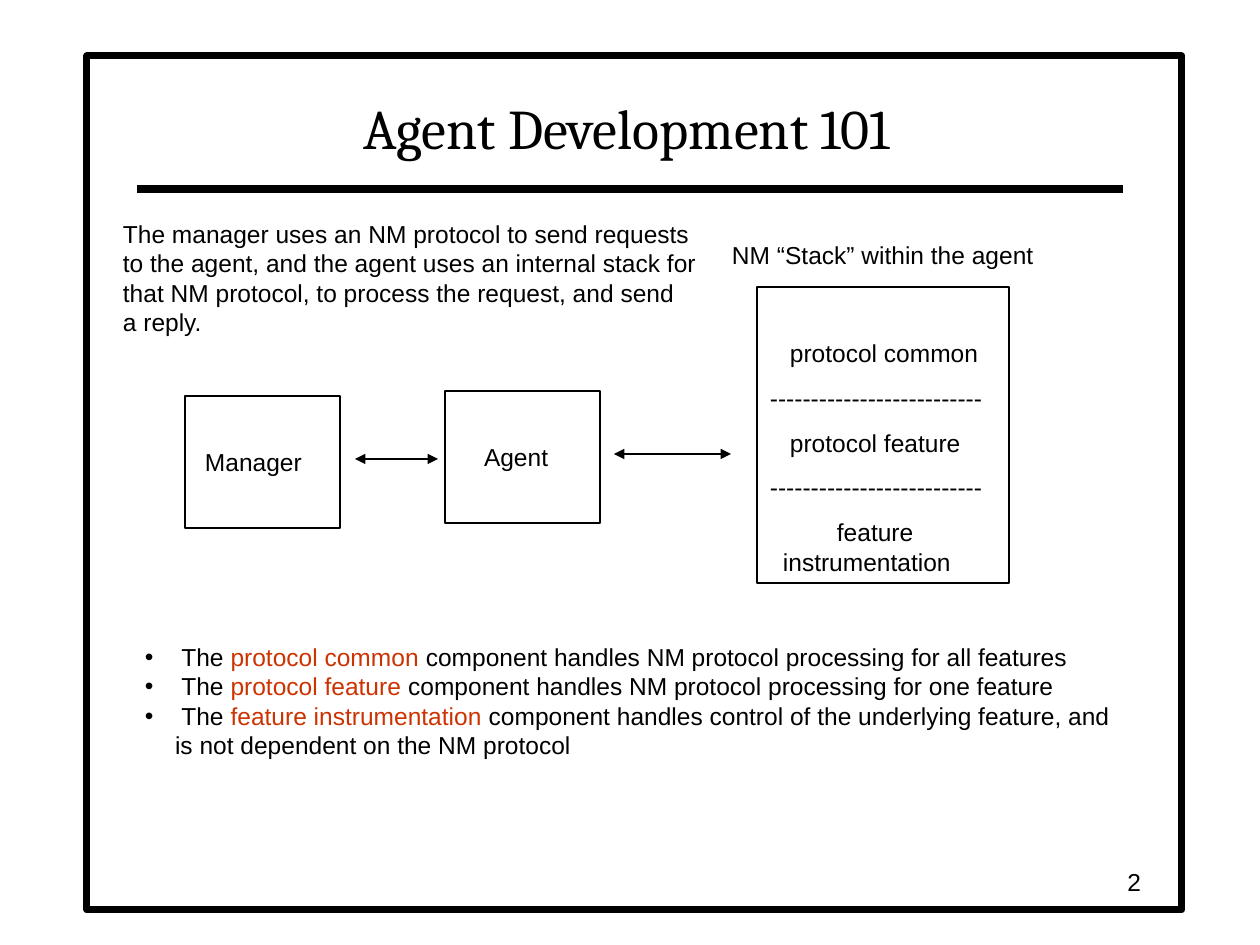
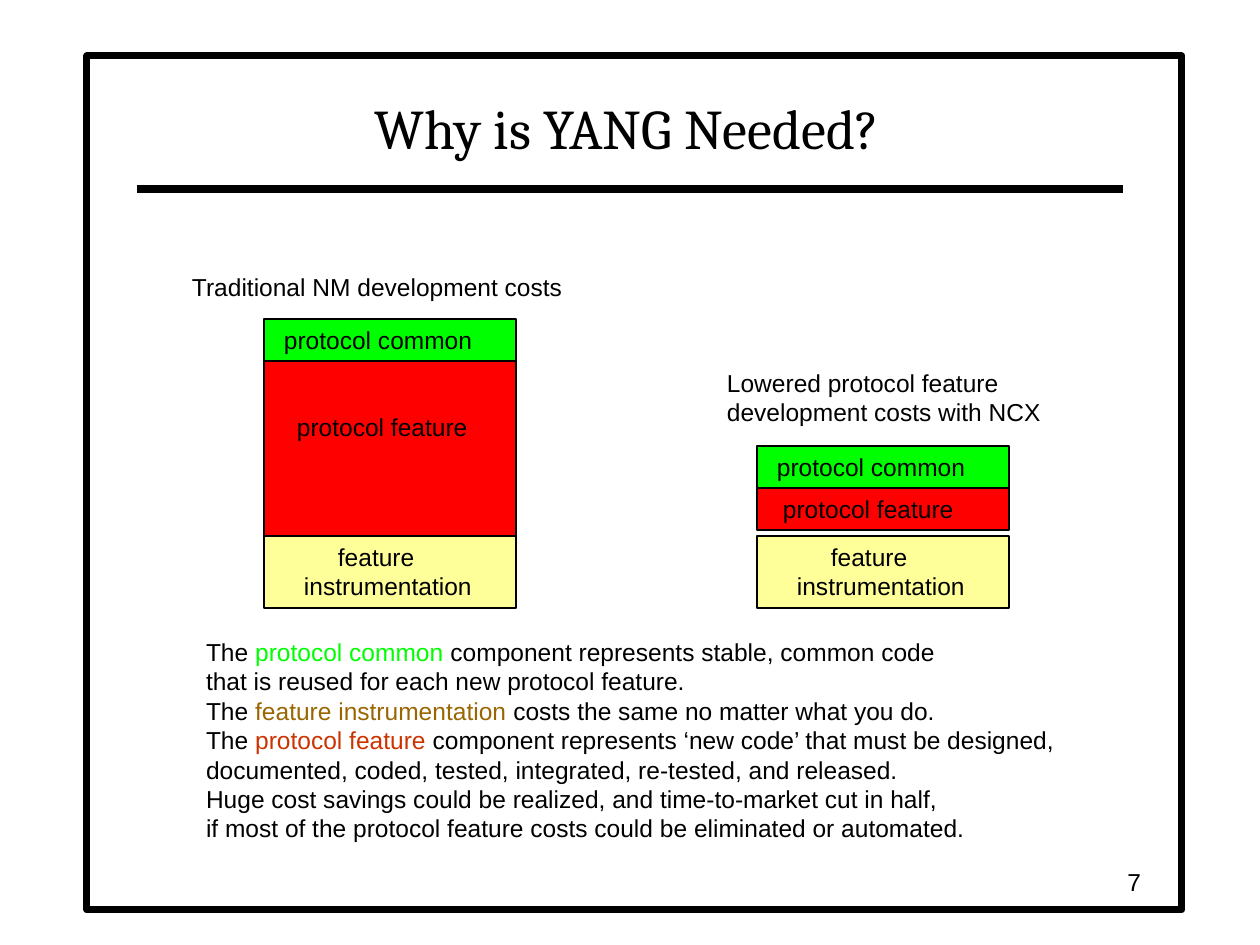
import pptx
import pptx.dml.color
import pptx.enum.shapes
import pptx.enum.text
import pptx.util
from lxml import etree
from pptx.oxml.ns import qn

RGB = pptx.dml.color.RGBColor
BLACK = RGB(0x00, 0x00, 0x00)
WHITE = RGB(0xFF, 0xFF, 0xFF)
GREEN = RGB(0x00, 0xFF, 0x00)
RED = RGB(0xFF, 0x00, 0x00)
CREAM = RGB(0xFF, 0xFF, 0x99)
RUST = RGB(0xCC, 0x33, 0x00)
OCHRE = RGB(0x99, 0x66, 0x00)

ALIGN = pptx.enum.text.PP_ALIGN
ANCHOR = pptx.enum.text.MSO_ANCHOR
Pt = pptx.util.Pt

# Areas are (left, top, width, height) in px, 126 px to the inch.
PX_PER_INCH = 126
FRAME = (87, 56, 1095, 854)
RULE = ((137, 189), (1123, 189))
TITLE = (136, 73, 982, 94)
PAGE_NUMBER = (892, 861, 262, 42)
ONE_LINE_DOWN = 51  # top inset that starts a label one line lower

# A paragraph is a list of (text, colour) runs, or plain text.
# Indents are (left margin, extra first-line indent) for each paragraph.
AGENT_TITLE = "Agent Development 101"
AGENT_NOTES = [
    ((110, 213, 615, 131),
     "The manager uses an NM protocol to send requests\n"
     "to the agent, and the agent uses an internal stack for\n"
     "that NM protocol, to process the request, and send\n"
     "a reply."),
    ((719, 234, 345, 43), "NM “Stack” within the agent"),
]
DASHES = "-" * 26
AGENT_BOXES = [
    ((185, 396, 155, 132), ["Manager"], [(7, 0)]),
    ((445, 391, 155, 132), ["Agent"], [(26, 0)]),
    ((757, 287, 252, 296),
     ["protocol common", DASHES, "protocol feature", DASHES,
      "feature\ninstrumentation"],
     [(20, 0), (0, 0), (20, 0), (0, 0), (13, 54)]),
]
AGENT_ARROWS = [((355, 459), (438, 459)), ((614, 454), (731, 454))]
COMPONENTS_AREA = (132, 636, 1001, 131)
COMPONENTS = [
    ("protocol common",
     " component handles NM protocol processing for all features"),
    ("protocol feature",
     " component handles NM protocol processing for one feature"),
    ("feature instrumentation",
     " component handles control of the underlying feature, "
     "and is not dependent on the NM protocol"),
]

YANG_TITLE = "Why is YANG Needed?"
YANG_NOTES = [
    ((179, 266, 410, 43), "Traditional NM development costs"),
    ((714, 362, 350, 72),
     "Lowered protocol feature\ndevelopment costs with NCX"),
]
COST_WIDTH, COMMON_HEIGHT = 252, 42
INSTRUMENTATION_TOP, INSTRUMENTATION_HEIGHT = 536, 72
# left, top, height of the feature part, its indent and its top inset
COST_STACKS = [(264, 319, 175, 20, ONE_LINE_DOWN), (757, 446, 42, 13, 6)]
COST_AREA = (193, 631, 890, 219)
COST_SUMMARY = [
    [("The ", BLACK), ("protocol common", GREEN),
     (" component represents stable, common code\n"
      "that is reused for each new protocol feature.\nThe ", BLACK),
     ("feature instrumentation", OCHRE),
     (" costs the same no matter what you do.\nThe ", BLACK),
     ("protocol feature", RUST),
     (" component represents ‘new code’ that must be designed,\n"
      "documented, coded, tested, integrated, re-tested, and released.\n"
      "Huge cost savings could be realized, and time-to-market cut in half,",
      BLACK)],
    "if most of the protocol feature costs could be eliminated or automated.",
]


def px(length):
    return pptx.util.Emu(round(length * 914400 / PX_PER_INCH))


def place(shape, area):
    shape.left, shape.top, shape.width, shape.height = map(px, area)


def write(frame, paragraphs, font="Arial", size=14, align=ALIGN.LEFT,
          anchor=ANCHOR.TOP, leading=Pt(16.8), gap=0, indents=(),
          bullet=None, top=6):
    """Fill a text frame; gap is the space before all but the first paragraph."""
    frame.word_wrap = True
    frame.auto_size = pptx.enum.text.MSO_AUTO_SIZE.NONE
    frame.vertical_anchor = anchor
    frame.margin_left = frame.margin_right = px(13)
    frame.margin_top, frame.margin_bottom = px(top), px(6)
    for index, runs in enumerate(paragraphs):
        paragraph = frame.add_paragraph() if index else frame.paragraphs[0]
        properties = paragraph._p.get_or_add_pPr()
        if indents:
            margin, first = indents[index]
            properties.set("marL", str(px(margin)))
            properties.set("indent", str(px(first)))
        if bullet:
            etree.SubElement(properties, qn("a:buFont"), typeface="Arial")
            etree.SubElement(properties, qn("a:buChar"), char=bullet)
        paragraph.alignment = align
        paragraph.line_spacing = leading
        paragraph.space_before = Pt(gap if index else 0)
        for text, colour in [(runs, BLACK)] if isinstance(runs, str) else runs:
            for number, line in enumerate(text.split("\n")):
                if number:
                    paragraph.add_line_break()
                run = paragraph.add_run()
                run.text = line
                run.font.name, run.font.size = font, Pt(size)
                run.font.color.rgb = colour


def add_box(slide, area, fill=None, width=1.5):
    box = slide.shapes.add_shape(
        pptx.enum.shapes.MSO_SHAPE.RECTANGLE, *map(px, area))
    box.shadow.inherit = False
    if fill is None:
        box.fill.background()
    else:
        box.fill.solid()
        box.fill.fore_color.rgb = fill
    box.line.color.rgb = BLACK
    box.line.width = Pt(width)
    return box


def add_note(slide, area, paragraphs, **form):
    write(slide.shapes.add_textbox(*map(px, area)).text_frame,
          paragraphs, **form)


def add_line(slide, start, end, width, arrows=False):
    line = slide.shapes.add_connector(
        pptx.enum.shapes.MSO_CONNECTOR.STRAIGHT, *map(px, start + end))
    line.line.color.rgb = BLACK
    line.line.width = Pt(width)
    if arrows:
        outline = line.line._get_or_add_ln()
        for tip in ("a:headEnd", "a:tailEnd"):
            etree.SubElement(outline, qn(tip), type="triangle")
    etree.SubElement(line._element.spPr, qn("a:effectLst"))


def add_slide(deck, layout, title, number):
    """Start a slide with the shared title, frame, rule and page number."""
    slide = deck.slides.add_slide(deck.slide_layouts[layout])
    slide.background.fill.solid()
    slide.background.fill.fore_color.rgb = WHITE
    add_box(slide, FRAME, width=4)
    add_line(slide, *RULE, width=4.5)
    place(slide.shapes.title, TITLE)
    write(slide.shapes.title.text_frame, [title], font="Cambria", size=32,
          align=ALIGN.CENTER, anchor=ANCHOR.BOTTOM, leading=1.0)
    add_note(slide, PAGE_NUMBER, [str(number)],
             align=ALIGN.RIGHT, anchor=ANCHOR.MIDDLE)
    return slide


def build_agent_slide(deck):
    slide = add_slide(deck, 1, AGENT_TITLE, 2)
    for area, text in AGENT_NOTES:
        add_note(slide, area, [text])
    for area, labels, indents in AGENT_BOXES:
        write(add_box(slide, area).text_frame, labels, indents=indents,
              gap=8.8, top=ONE_LINE_DOWN)
    for start, end in AGENT_ARROWS:
        add_line(slide, start, end, width=1, arrows=True)
    components = slide.placeholders[1]
    place(components, COMPONENTS_AREA)
    write(components.text_frame,
          [[(" The ", BLACK), (name, RUST), (role, BLACK)]
           for name, role in COMPONENTS],
          indents=[(30, -30)] * len(COMPONENTS), bullet="•")


def build_yang_slide(deck):
    slide = add_slide(deck, 5, YANG_TITLE, 7)
    for area, text in YANG_NOTES:
        add_note(slide, area, [text])
    for left, top, feature_height, feature_indent, feature_inset in COST_STACKS:
        parts = [
            ("protocol common", GREEN, top, COMMON_HEIGHT, (7, 0), 6),
            ("protocol feature", RED, top + COMMON_HEIGHT, feature_height,
             (feature_indent, 0), feature_inset),
            ("feature\ninstrumentation", CREAM, INSTRUMENTATION_TOP,
             INSTRUMENTATION_HEIGHT, (27, 34), 6),
        ]
        for label, fill, part_top, height, indent, inset in parts:
            part = add_box(slide, (left, part_top, COST_WIDTH, height), fill)
            write(part.text_frame, [label], indents=[indent], top=inset)
    add_note(slide, COST_AREA, COST_SUMMARY)


def main():
    deck = pptx.Presentation()
    deck.slide_width, deck.slide_height = px(1260), px(945)
    build_agent_slide(deck)
    build_yang_slide(deck)
    deck.save("out.pptx")


if __name__ == "__main__":
    main()
